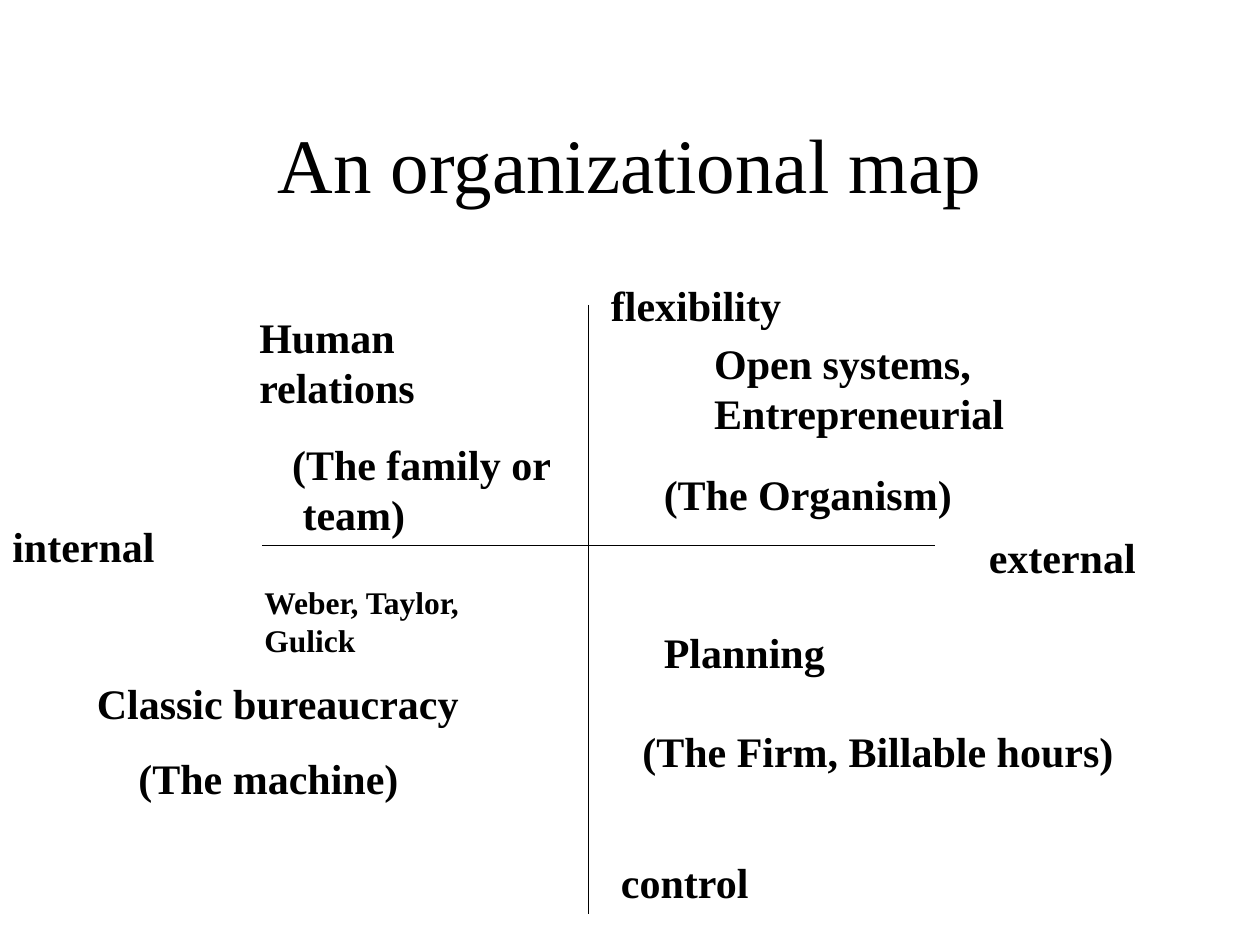
from pptx import Presentation
from pptx.dml.color import RGBColor
from pptx.enum.shapes import MSO_CONNECTOR
from pptx.enum.text import MSO_ANCHOR, MSO_AUTO_SIZE, PP_ALIGN
from pptx.oxml.ns import qn
from pptx.util import Inches, Pt
from lxml import etree

STRAIGHT = MSO_CONNECTOR.STRAIGHT
MIDDLE = MSO_ANCHOR.MIDDLE
CENTER = PP_ALIGN.CENTER
GROW = MSO_AUTO_SIZE.SHAPE_TO_FIT_TEXT
NO_FIT = MSO_AUTO_SIZE.NONE
BLACK = RGBColor(0, 0, 0)
FONT = "Times New Roman"
TITLE_ONLY = 5


class MapSlide:
    def __init__(self, prs):
        self.s = prs.slides.add_slide(prs.slide_layouts[TITLE_ONLY])

    def style(self, p, size, bold):
        p.font.name = FONT
        p.font.size = Pt(size)
        p.font.bold = bold
        p.font.color.rgb = BLACK

    def title(self, text, x, y, w, h):
        sp = self.s.shapes.title
        sp.left, sp.top, sp.width, sp.height = map(Inches, (x, y, w, h))
        tf = sp.text_frame
        tf.text = text
        tf.vertical_anchor = MIDDLE
        tf.auto_size = NO_FIT
        p = tf.paragraphs[0]
        p.alignment = CENTER
        self.style(p, 44, False)

    def axis(self, x1, y1, x2, y2):
        line = self.s.shapes.add_connector(STRAIGHT, *map(Inches, (x1, y1, x2, y2)))
        line.line.color.rgb = BLACK
        line.line.width = Pt(0.75)
        etree.SubElement(line._element.spPr, qn("a:effectLst"))

    def label(self, text, x, y, w, h=0.5, size=24, wrap=True):
        """Add a bold label; each line of text becomes a paragraph."""
        tf = self.s.shapes.add_textbox(*map(Inches, (x, y, w, h))).text_frame
        tf.word_wrap = wrap
        tf.auto_size = GROW
        tf.text = text
        for p in tf.paragraphs:
            self.style(p, size, True)


def main():
    prs = Presentation()
    prs.slide_width, prs.slide_height = Inches(10), Inches(7.5)
    org_map = MapSlide(prs)
    org_map.title("An organizational map", 0.75, 0.67, 8.5, 1.25)

    org_map.axis(4.67, 2.42, 4.67, 7.25)
    org_map.label("flexibility", 4.75, 2.17, 3.25)
    org_map.label("control", 4.83, 6.75, 1.25)
    org_map.axis(2.08, 4.33, 7.42, 4.33)
    org_map.label("internal", 0, 4.08, 2)
    org_map.label("external", 7.75, 4.17, 2)

    # Internal side: bureaucracy below, human relations above
    org_map.label("Classic bureaucracy", 0.67, 5.33, 3.5)
    org_map.label("(The machine)", 1, 5.92, 3.42)
    org_map.label("Human relations", 1.96, 2.42, 2.5, 0.9)
    org_map.label("(The family or\n team)", 2.22, 3.43, 2.4, 0.9)

    # External side: open systems above, planning below
    org_map.label("Open systems,\nEntrepreneurial", 5.57, 2.63, 2.6, 0.9, wrap=False)
    org_map.label("(The Organism)", 5.17, 3.67, 2.67)
    org_map.label("Planning", 5.17, 4.92, 2.42)
    org_map.label("(The Firm, Billable hours)", 5, 5.71, 3.94, wrap=False)

    org_map.label("Weber, Taylor,\nGulick", 2, 4.58, 2.25, 0.7, size=18)
    prs.save("out.pptx")


if __name__ == "__main__":
    main()
